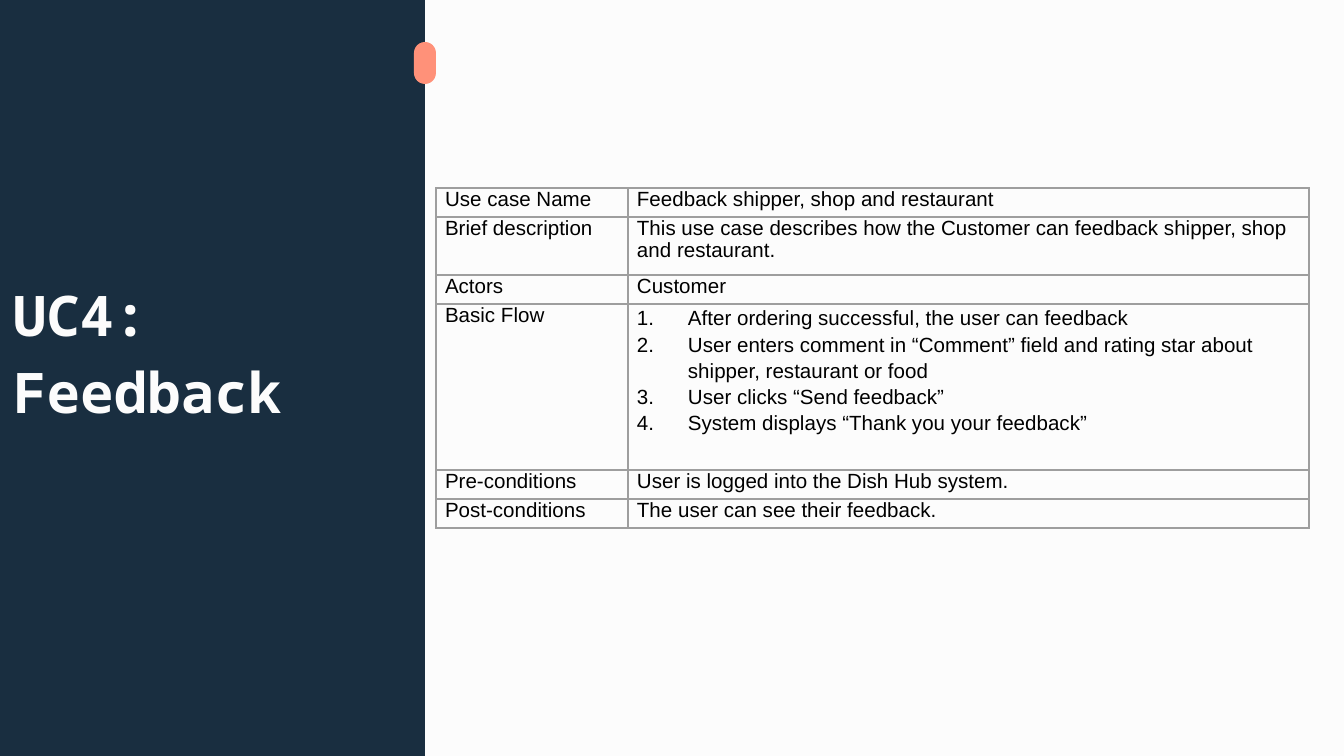
from dataclasses import dataclass

from pptx import Presentation
from pptx.dml.color import RGBColor
from pptx.enum.shapes import MSO_SHAPE
from pptx.enum.text import MSO_ANCHOR
from pptx.oxml import parse_xml
from pptx.oxml.ns import nsdecls
from pptx.util import Emu, Pt

RECTANGLE = MSO_SHAPE.RECTANGLE
ROUNDED = MSO_SHAPE.ROUNDED_RECTANGLE
MIDDLE = MSO_ANCHOR.MIDDLE
EMU_PER_PX = 914400 / 134.4


@dataclass(frozen=True)
class Theme:
    """Colours, fonts and type sizes of the slide."""
    background: str = "FCFCFC"
    panel: str = "192E40"
    accent: str = "FF9179"
    text: str = "000000"
    border: str = "9E9E9E"
    title_font: str = "Noto Sans Mono"
    body_font: str = "Arial"
    title_size: float = 30
    body_size: float = 11
    border_width: float = 0.75
    cell_leading: float = 12
    line_spacing: float = 1.15


THEME = Theme()
COLUMN_WIDTHS = (192, 681)
CELL_MARGIN = 9
LIST_INDENT = 51
USE_CASE_ROWS = (
    (29, "Use case Name", "Feedback shipper, shop and restaurant"),
    (58, "Brief description",
     "This use case describes how the Customer can feedback shipper, shop and restaurant."),
    (29, "Actors", "Customer"),
    (166, "Basic Flow", (
        "After ordering successful, the user can feedback",
        "User enters comment in “Comment” field and rating star about shipper, restaurant or food",
        "User clicks “Send feedback”",
        "System displays “Thank you your feedback”",
    )),
    (29, "Pre-conditions", "User is logged into the Dish Hub system."),
    (29, "Post-conditions", "The user can see their feedback."),
)


def px(length):
    """Turn a length in px into EMU."""
    return Emu(round(length * EMU_PER_PX))


def add_run(paragraph, text, font_name, size, color, bold=False):
    """Add one styled run to a paragraph."""
    run = paragraph.add_run()
    run.text = text
    run.font.name = font_name
    run.font.size = Pt(size)
    run.font.bold = bold
    run.font.color.rgb = RGBColor.from_string(color)


def add_block(slide, kind, box, color):
    """Add a plain filled shape without line or shadow."""
    shape = slide.shapes.add_shape(kind, *map(px, box))
    shape.shadow.inherit = False
    shape.fill.solid()
    shape.fill.fore_color.rgb = RGBColor.from_string(color)
    shape.line.fill.background()
    return shape


def add_title(slide, text, box):
    """Add the slide title as a wrapped, vertically centred text box."""
    frame = slide.shapes.add_textbox(*map(px, box)).text_frame
    frame.word_wrap = True
    frame.vertical_anchor = MIDDLE
    frame.margin_left = frame.margin_right = px(13)
    frame.margin_top = frame.margin_bottom = px(13)
    paragraph = frame.paragraphs[0]
    paragraph.line_spacing = THEME.line_spacing
    add_run(paragraph, text, THEME.title_font, THEME.title_size, THEME.background, True)


def number_paragraph(paragraph):
    """Give a paragraph an automatic number and a hanging indent."""
    properties = paragraph._p.get_or_add_pPr()
    properties.set("marL", str(px(LIST_INDENT)))
    properties.set("indent", str(-px(LIST_INDENT)))
    properties.append(parse_xml(
        f'<a:buClr {nsdecls("a")}><a:srgbClr val="{THEME.text}"/></a:buClr>'))
    properties.append(parse_xml(
        f'<a:buAutoNum {nsdecls("a")} type="arabicPeriod"/>'))


def set_borders(cell):
    """Draw a thin line on all four sides of a cell."""
    properties = cell._tc.get_or_add_tcPr()
    for index, side in enumerate(("lnL", "lnR", "lnT", "lnB")):
        properties.insert(index, parse_xml(
            f'<a:{side} {nsdecls("a")} w="{Pt(THEME.border_width)}"><a:solidFill>'
            f'<a:srgbClr val="{THEME.border}"/></a:solidFill></a:{side}>'))


def fill_cell(cell, content):
    """Write a text, or a tuple of numbered steps, into a cell."""
    cell.fill.background()
    cell.margin_left = cell.margin_right = px(CELL_MARGIN)
    cell.margin_top = cell.margin_bottom = 0
    set_borders(cell)
    numbered = isinstance(content, tuple)
    frame = cell.text_frame
    for index, text in enumerate(content if numbered else (content,)):
        paragraph = frame.add_paragraph() if index else frame.paragraphs[0]
        paragraph.line_spacing = THEME.line_spacing if numbered else Pt(THEME.cell_leading)
        if numbered:
            number_paragraph(paragraph)
        add_run(paragraph, text, THEME.body_font, THEME.body_size, THEME.text)


def add_use_case_table(slide, left, top):
    """Add the two-column use case table."""
    height = sum(row[0] for row in USE_CASE_ROWS)
    table = slide.shapes.add_table(
        len(USE_CASE_ROWS), len(COLUMN_WIDTHS),
        px(left), px(top), px(sum(COLUMN_WIDTHS)), px(height)).table
    table.first_row = False
    table.horz_banding = False
    for column, width in zip(table.columns, COLUMN_WIDTHS):
        column.width = px(width)
    for row, (row_height, *contents) in zip(table.rows, USE_CASE_ROWS):
        row.height = px(row_height)
        for cell, content in zip(row.cells, contents):
            fill_cell(cell, content)


def main():
    """Build and save the use case slide."""
    presentation = Presentation()
    presentation.slide_width = px(1344)
    presentation.slide_height = px(756)
    slide = presentation.slides.add_slide(presentation.slide_layouts[6])
    slide.background.fill.solid()
    slide.background.fill.fore_color.rgb = RGBColor.from_string(THEME.background)
    add_block(slide, RECTANGLE, (-17, -12, 442, 780), THEME.panel)
    add_title(slide, "UC4: Feedback", (0, 190, 414, 315))
    marker = add_block(slide, ROUNDED, (414, 42, 22, 42), THEME.accent)
    marker.adjustments[0] = 0.5
    add_use_case_table(slide, 436, 188)
    presentation.save("out.pptx")


if __name__ == "__main__":
    main()
